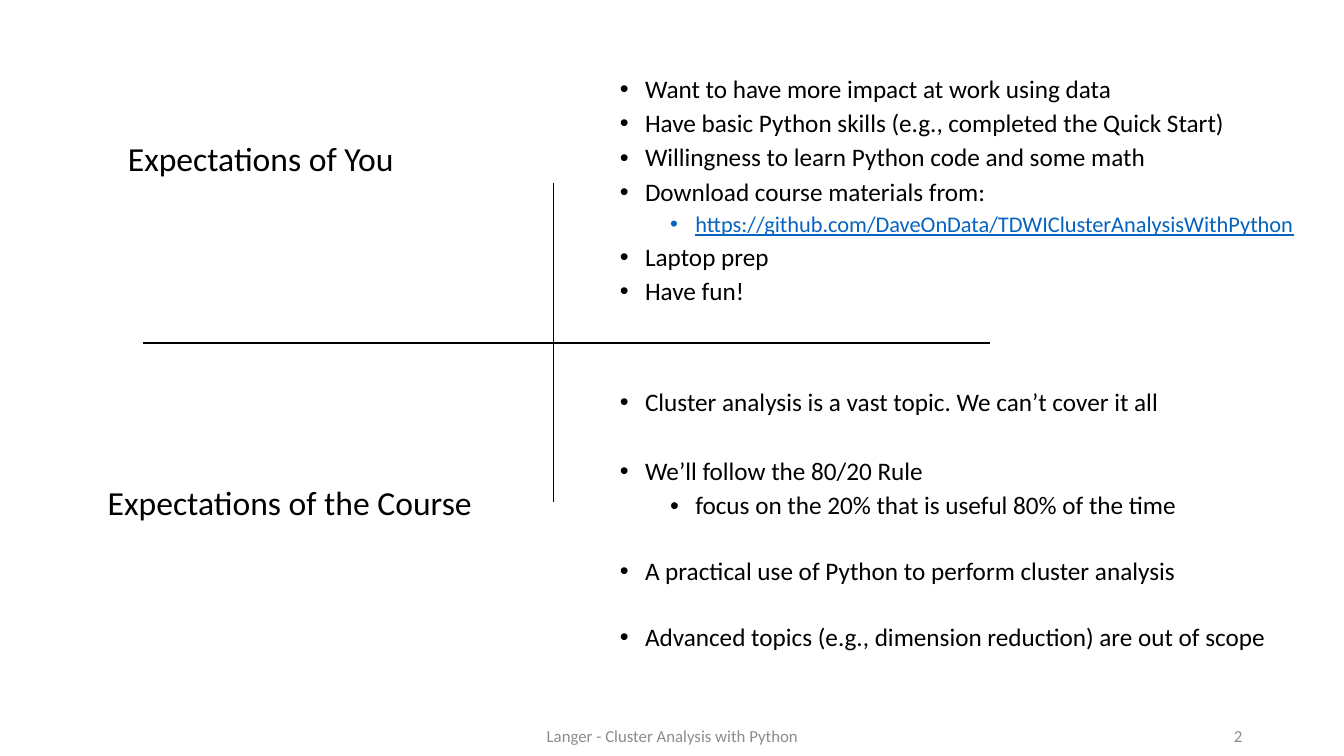
from dataclasses import dataclass

from lxml.etree import SubElement
from pptx import Presentation
from pptx.dml.color import RGBColor
from pptx.enum.text import MSO_ANCHOR, PP_ALIGN
from pptx.oxml.ns import qn
from pptx.util import Emu, Inches, Pt

BLACK = RGBColor(0x00, 0x00, 0x00)
LINK_BLUE = RGBColor(0x05, 0x63, 0xC1)
FOOTER_GRAY = RGBColor(0x8C, 0x8C, 0x8C)
FONT = "Calibri"
PAGE_WIDTH = Inches(13.33)
PAGE_HEIGHT = Inches(7.5)
LIST_LEFT, LIST_WIDTH, LIST_HEIGHT = 37.88, 59.72, 42.13
GAP = 5
TOPIC_GAP = 29.8
SUBTOPIC_GAP = 27.6


@dataclass(frozen=True)
class Area:
    left: float
    top: float
    width: float
    height: float


@dataclass(frozen=True)
class Label:
    text: str
    area: Area
    size: int
    color: RGBColor = BLACK
    align: PP_ALIGN = PP_ALIGN.LEFT
    anchor: MSO_ANCHOR = MSO_ANCHOR.TOP


@dataclass(frozen=True)
class Bullet:
    text: str
    level: int = 2
    gap: float = GAP
    size: int = 18
    color: RGBColor = BLACK
    underline: bool = False


@dataclass(frozen=True)
class Rule:
    start: tuple[float, float]
    end: tuple[float, float]
    weight: float


LABELS = [
    Label("Expectations of You", Area(8.78, 17.6, 22.73, 6.67), 24),
    Label("Expectations of the Course", Area(7.28, 63.07, 28.88, 6.67), 24),
    Label("Langer - Cluster Analysis with Python", Area(33.16, 94.67, 33.76, 5.33),
          12, FOOTER_GRAY, PP_ALIGN.CENTER, MSO_ANCHOR.MIDDLE),
    Label("2", Area(70.67, 94.67, 22.51, 5.33),
          12, FOOTER_GRAY, PP_ALIGN.RIGHT, MSO_ANCHOR.MIDDLE),
]

LISTS = {
    4.27: [
        Bullet("Want to have more impact at work using data"),
        Bullet("Have basic Python skills (e.g., completed the Quick Start)"),
        Bullet("Willingness to learn Python code and some math"),
        Bullet("Download course materials from:"),
        Bullet("https://github.com/DaveOnData/TDWIClusterAnalysisWithPython",
               level=3, size=16, color=LINK_BLUE, underline=True),
        Bullet("Laptop prep"),
        Bullet("Have fun!"),
    ],
    47.87: [
        Bullet("Cluster analysis is a vast topic. We can’t cover it all"),
        Bullet("We’ll follow the 80/20 Rule", gap=TOPIC_GAP),
        Bullet("focus on the 20% that is useful 80% of the time", level=3),
        Bullet("A practical use of Python to perform cluster analysis", gap=SUBTOPIC_GAP),
        Bullet("Advanced topics (e.g., dimension reduction) are out of scope",
               gap=SUBTOPIC_GAP),
    ],
}

RULES = [
    Rule((10.65, 45.33), (73.67, 45.33), 1.5),
    Rule((41.19, 24.27), (41.19, 66.4), 1),
]


def across(percent: float) -> Emu:
    return Emu(round(PAGE_WIDTH * percent / 100))


def down(percent: float) -> Emu:
    return Emu(round(PAGE_HEIGHT * percent / 100))


def add_box(page, area: Area, anchor: MSO_ANCHOR):
    box = page.shapes.add_textbox(across(area.left), down(area.top),
                                  across(area.width), down(area.height))
    frame = box.text_frame
    frame.word_wrap = True
    frame.vertical_anchor = anchor
    return frame


def style(para, size: int, color: RGBColor) -> None:
    para.font.name = FONT
    para.font.size = Pt(size)
    para.font.color.rgb = color


def add_label(page, label: Label) -> None:
    para = add_box(page, label.area, label.anchor).paragraphs[0]
    para.text = label.text
    para.alignment = label.align
    style(para, label.size, label.color)


def add_list(page, top: float, bullets: list[Bullet]) -> None:
    area = Area(LIST_LEFT, top, LIST_WIDTH, LIST_HEIGHT)
    frame = add_box(page, area, MSO_ANCHOR.MIDDLE)
    for index, bullet in enumerate(bullets):
        para = frame.add_paragraph() if index else frame.paragraphs[0]
        para.text = bullet.text
        para.level = bullet.level
        properties = para._p.get_or_add_pPr()
        properties.set("marL", str(Inches(0.25 + 0.5 * bullet.level)))
        properties.set("indent", str(-Inches(0.25)))
        SubElement(properties, qn("a:buFont"), typeface="Arial")
        SubElement(properties, qn("a:buChar"), char="•")
        para.line_spacing = 0.9
        para.space_before = Pt(bullet.gap if index else 0)
        style(para, bullet.size, bullet.color)
        para.font.underline = bullet.underline


def add_rule(page, rule: Rule) -> None:
    line = page.shapes.add_connector(1, across(rule.start[0]), down(rule.start[1]),
                                     across(rule.end[0]), down(rule.end[1]))
    line.line.color.rgb = BLACK
    line.line.width = Pt(rule.weight)
    SubElement(line._element.spPr, qn("a:effectLst"))


def main() -> None:
    deck = Presentation()
    deck.slide_width = PAGE_WIDTH
    deck.slide_height = PAGE_HEIGHT
    page = deck.slides.add_slide(deck.slide_layouts[6])
    for top, bullets in LISTS.items():
        add_list(page, top, bullets)
    for label in LABELS:
        add_label(page, label)
    for rule in RULES:
        add_rule(page, rule)
    deck.save("out.pptx")


if __name__ == "__main__":
    main()
